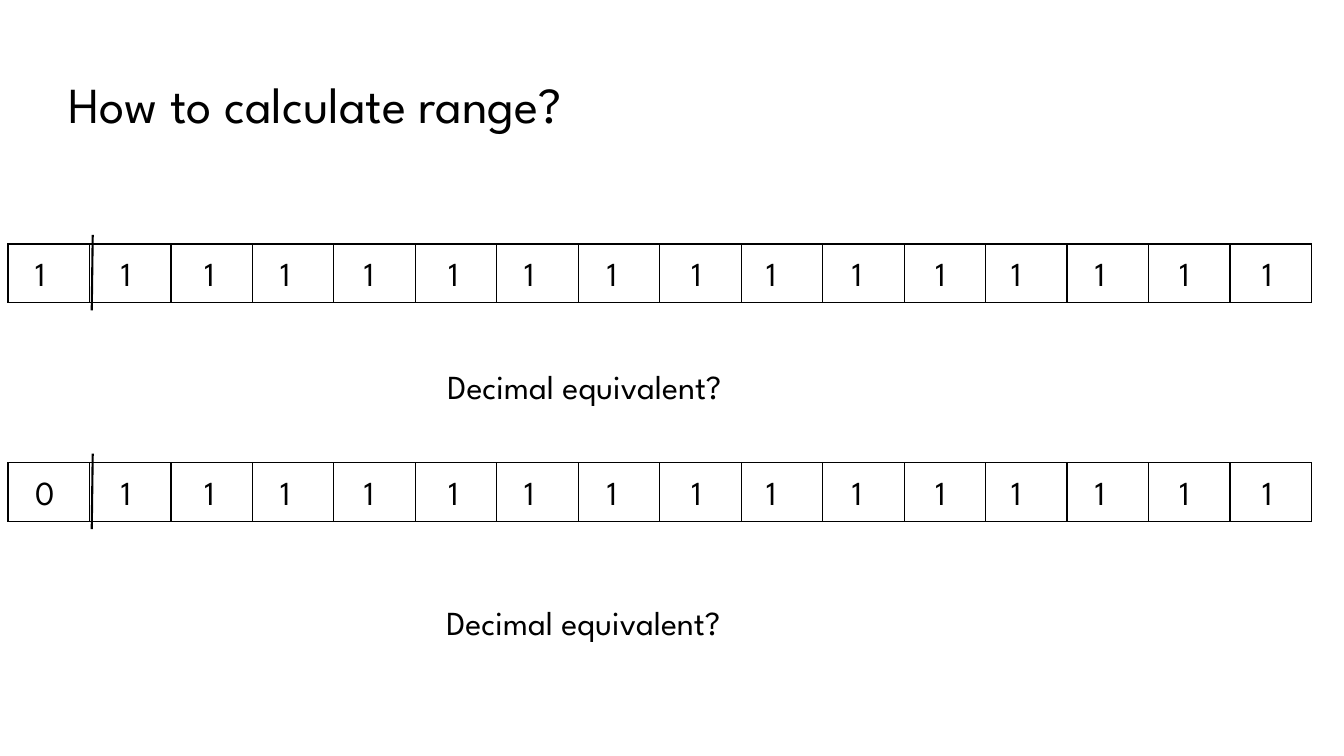
"""Build a slide on working out the range of a 16-bit signed number."""
import dataclasses

import lxml.etree
import pptx
import pptx.dml.color
import pptx.enum.text
import pptx.oxml.ns
import pptx.util

Inches, Pt = pptx.util.Inches, pptx.util.Pt
TITLE = "How to calculate range?"
ASK = "Decimal equivalent?"
WORDS = [
    {"bits": "1" * 16, "top": 2.42, "ask": (4.34, 3.58)},
    {"bits": "0" + "1" * 15, "top": 4.59, "ask": (4.33, 5.92)},
]
LEFTS = [0.25, 1.1, 1.93, 2.68, 3.51, 4.35, 5.1, 5.92,
         6.76, 7.5, 8.35, 9.18, 9.93, 10.76, 11.6, 12.42]
PARTS = [10, 6]
START, CELL, HIGH = 0.08, 0.81, 0.58
PITCH = 0.808


@dataclasses.dataclass
class Theme:
    """Colours, font and type sizes."""
    ink: str = "000000"
    paper: str = "FFFFFF"
    font: str = "League Spartan"
    head: int = 36
    body: int = 24
    rule: float = 1
    bar: float = 1.5


theme = Theme()


def tint(code):
    """Turn a hex code into a colour."""
    return pptx.dml.color.RGBColor.from_string(code)


def write(frame, text, size):
    """Set one left-aligned line of text."""
    frame.text = text
    line = frame.paragraphs[0]
    line.alignment = pptx.enum.text.PP_ALIGN.LEFT
    font = line.runs[0].font
    font.name, font.size = theme.font, Pt(size)
    font.color.rgb = tint(theme.ink)


def label(slide, text, left, top, width):
    """Add a box that fits its text."""
    box = slide.shapes.add_textbox(
        Inches(left), Inches(top), Inches(width), Inches(0.5))
    frame = box.text_frame
    write(frame, text, theme.body)
    frame.word_wrap = False
    frame.auto_size = pptx.enum.text.MSO_AUTO_SIZE.SHAPE_TO_FIT_TEXT


def edge(cell):
    """Draw a thin line on each side of a cell."""
    props = cell._tc.get_or_add_tcPr()
    name = pptx.oxml.ns.qn
    for spot, side in enumerate(("lnL", "lnR", "lnT", "lnB")):
        line = lxml.etree.Element(name("a:" + side), w=str(Pt(theme.rule)))
        fill = lxml.etree.SubElement(line, name("a:solidFill"))
        lxml.etree.SubElement(fill, name("a:srgbClr"), val=theme.ink)
        props.insert(spot, line)


def grid(slide, left, top, count):
    """Add a row of empty ruled cells."""
    table = slide.shapes.add_table(
        1, count, Inches(left), Inches(top),
        Inches(PITCH * count), Inches(HIGH)).table
    table.first_row = table.horz_banding = False
    for col in table.columns:
        col.width = Inches(PITCH)
    table.rows[0].height = Inches(HIGH)
    for cell in table.iter_cells():
        cell.fill.background()
        edge(cell)


def divide(slide, top):
    """Mark off the sign bit with a line."""
    bar = slide.shapes.add_connector(
        pptx.enum.shapes.MSO_CONNECTOR.STRAIGHT, Inches(0.92),
        Inches(top - 0.09), Inches(0.91), Inches(top + 0.66))
    bar.line.color.rgb = tint(theme.ink)
    bar.line.width = Pt(theme.bar)
    lxml.etree.SubElement(
        bar._element.spPr, pptx.oxml.ns.qn("a:effectLst"))


def main():
    """Make the deck and save it."""
    deck = pptx.Presentation()
    deck.slide_width, deck.slide_height = Inches(13.33), Inches(7.5)
    slide = deck.slides.add_slide(deck.slide_layouts[5])
    slide.background.fill.solid()
    slide.background.fill.fore_color.rgb = tint(theme.paper)
    title = slide.shapes.title
    title.left, title.top = Inches(0.58), Inches(0.67)
    title.width, title.height = Inches(12.09), Inches(0.71)
    write(title.text_frame, TITLE, theme.head)
    for word in WORDS:
        left = START
        for count in PARTS:
            grid(slide, left, word["top"], count)
            left += PITCH * count
        divide(slide, word["top"])
        for bit, spot in zip(word["bits"], LEFTS):
            label(slide, bit, spot, word["top"] + 0.04, 0.4)
        label(slide, ASK, *word["ask"], 3.24)
    deck.save("out.pptx")


if __name__ == "__main__":
    main()
